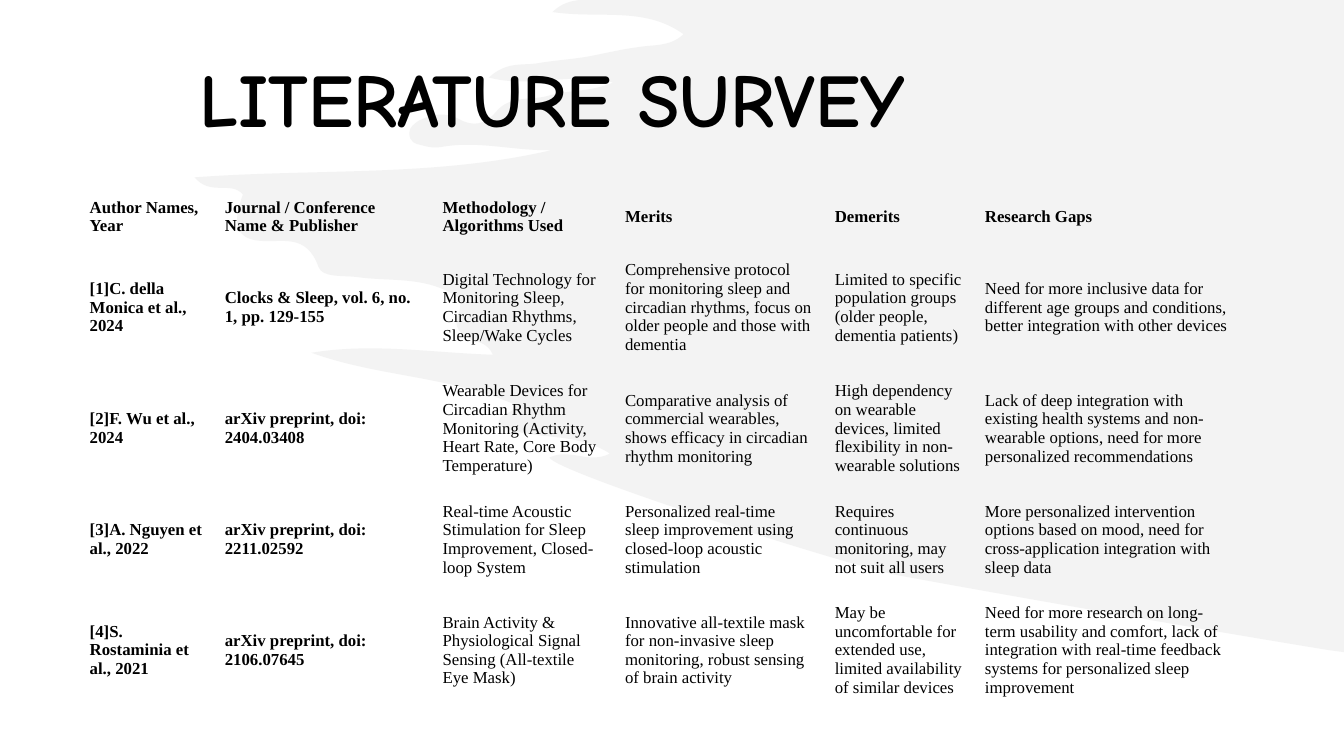
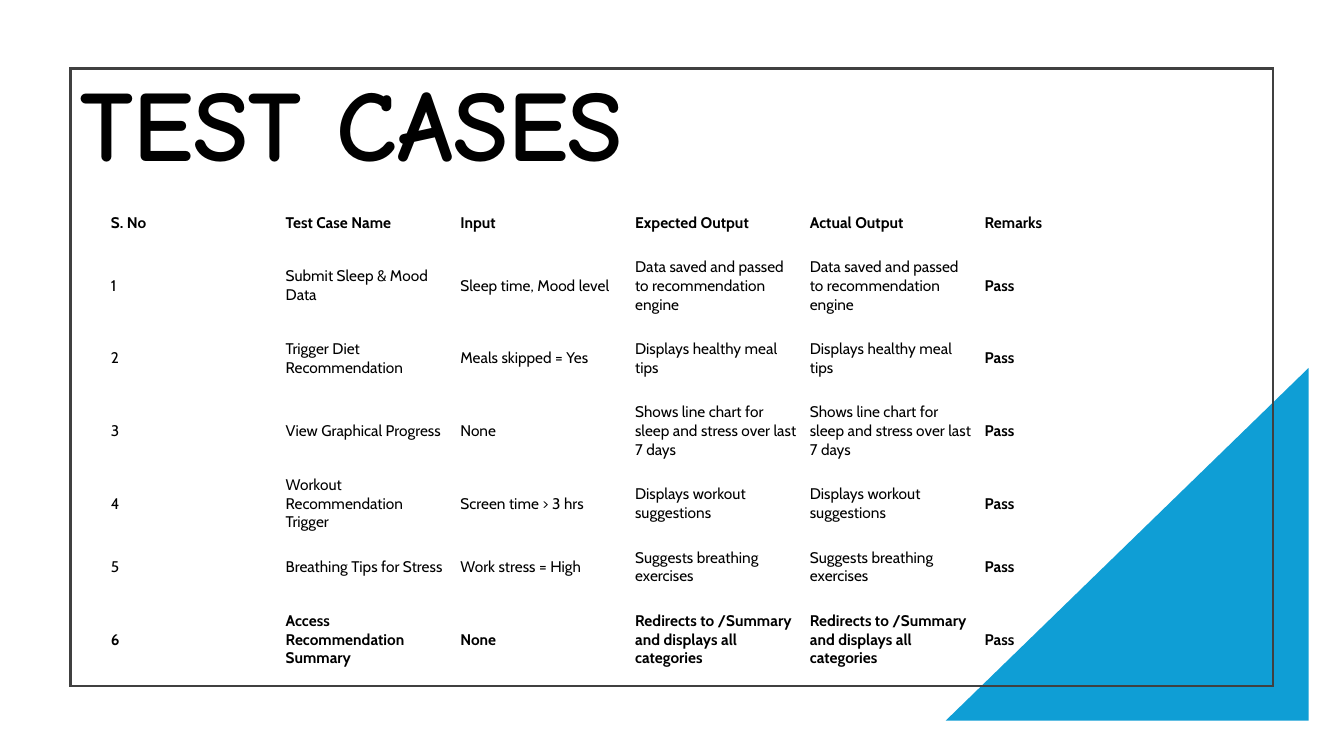
from lxml import etree
from pptx import Presentation
from pptx import util as u
from pptx.dml.color import RGBColor
from pptx.enum import shapes, text
from pptx.oxml.ns import qn

COLORS = {"ink": "000000", "wash": "E8E8E8", "accent": "0F9ED5", "frame": "404040"}
TITLE_FONT = "Comic Neue"
NO_GRID = "{2D5ABB26-0587-4C30-8999-92F81FD0307C}"

SURVEY = [
    ("Author Names, Year", "Journal / Conference Name & Publisher",
     "Methodology / Algorithms Used", "Merits", "Demerits", "Research Gaps"),
    ("[1]C. della Monica et al., 2024",
     "Clocks & Sleep, vol. 6, no. 1, pp. 129-155",
     "Digital Technology for Monitoring Sleep, Circadian Rhythms, Sleep/Wake Cycles",
     "Comprehensive protocol for monitoring sleep and circadian rhythms, "
     "focus on older people and those with dementia",
     "Limited to specific population groups (older people, dementia patients)",
     "Need for more inclusive data for different age groups and conditions, "
     "better integration with other devices"),
    ("[2]F. Wu et al., 2024",
     "arXiv preprint, doi: 2404.03408",
     "Wearable Devices for Circadian Rhythm Monitoring "
     "(Activity, Heart Rate, Core Body Temperature)",
     "Comparative analysis of commercial wearables, "
     "shows efficacy in circadian rhythm monitoring",
     "High dependency on wearable devices, limited flexibility in non-wearable solutions",
     "Lack of deep integration with existing health systems and non-wearable options, "
     "need for more personalized recommendations"),
    ("[3]A. Nguyen et al., 2022",
     "arXiv preprint, doi: 2211.02592",
     "Real-time Acoustic Stimulation for Sleep Improvement, Closed-loop System",
     "Personalized real-time sleep improvement using closed-loop acoustic stimulation",
     "Requires continuous monitoring, may not suit all users",
     "More personalized intervention options based on mood, "
     "need for cross-application integration with sleep data"),
    ("[4]S. Rostaminia et al., 2021",
     "arXiv preprint, doi: 2106.07645",
     "Brain Activity & Physiological Signal Sensing (All-textile Eye Mask)",
     "Innovative all-textile mask for non-invasive sleep monitoring, "
     "robust sensing of brain activity",
     "May be uncomfortable for extended use, limited availability of similar devices",
     "Need for more research on long-term usability and comfort, lack of integration "
     "with real-time feedback systems for personalized sleep improvement"),
]
SURVEY_COLS = [1.34, 2.16, 1.81, 2.08, 1.49, 2.64]
SURVEY_ROWS = [0.58, 1.14, 1.14, 0.95, 1.15]

TEST_HEADER = ("S. No", "Test Case Name", "Input", "Expected Output",
               "Actual Output", "Remarks")
TESTS = [
    ("Submit Sleep & Mood Data", "Sleep time, Mood level",
     "Data saved and passed to recommendation engine"),
    ("Trigger Diet Recommendation", "Meals skipped = Yes", "Displays healthy meal tips"),
    ("View Graphical Progress", "None",
     "Shows line chart for sleep and stress over last 7 days"),
    ("Workout Recommendation Trigger", "Screen time > 3 hrs",
     "Displays workout suggestions"),
    ("Breathing Tips for Stress", "Work stress = High", "Suggests breathing exercises"),
    ("Access Recommendation Summary", "None",
     "Redirects to /Summary and displays all categories"),
]
TEST_COLS = [10.4 / 6] * 6
TEST_ROWS = [0.44, 0.81, 0.63, 0.81, 0.63, 0.63, 0.81]

BRUSH_START = (5.75, 0)
BRUSH_CURVES = [
    (5.67, 0.01, 5.57, 0.03, 5.48, 0.12), (5.95, 0.19, 6.39, 0.06, 6.78, 0.34),
    (6.64, 0.47, 6.48, 0.44, 6.32, 0.47), (6.16, 0.49, 6, 0.53, 5.84, 0.56),
    (5.67, 0.59, 5.49, 0.6, 5.32, 0.63), (5.18, 0.65, 5.02, 0.61, 4.85, 0.77),
    (5.27, 0.88, 5.66, 0.71, 6.08, 0.82), (5.84, 0.92, 5.63, 0.89, 5.44, 0.95),
    (5.27, 1, 5.06, 0.94, 4.92, 1.11), (4.81, 1.24, 4.69, 1.26, 4.55, 1.18),
    (4.42, 1.11, 4.28, 1.13, 4.15, 1.2), (4.11, 1.23, 4.06, 1.26, 4.06, 1.32),
    (4.06, 1.41, 4.12, 1.43, 4.18, 1.44), (4.24, 1.46, 4.31, 1.47, 4.37, 1.46),
    (4.74, 1.39, 5.1, 1.5, 5.47, 1.49), (4.31, 1.76, 3.14, 1.67, 1.93, 1.76),
    (2.09, 1.95, 2.29, 1.79, 2.41, 1.93), (2.3, 2.22, 2.34, 2.37, 2.58, 2.39),
    (2.8, 2.41, 3.04, 2.31, 3.16, 2.65), (3.2, 2.76, 3.41, 2.73, 3.55, 2.75),
    (3.84, 2.79, 4.14, 2.75, 4.42, 2.88), (4.53, 2.93, 4.6, 2.97, 4.55, 3.11),
    (4.49, 3.25, 4.56, 3.3, 4.66, 3.36), (4.73, 3.4, 4.83, 3.39, 4.89, 3.52),
    (4.28, 3.5, 3.69, 3.4, 3.09, 3.5), (3.75, 3.74, 4.47, 3.73, 5.12, 4.02),
    (5.1, 4.12, 4.95, 4.07, 4.94, 4.22), (5.28, 4.38, 5.69, 4.27, 6.05, 4.5),
    (5.84, 4.61, 5.65, 4.44, 5.45, 4.54), (5.52, 4.69, 8.4, 5.61, 8.92, 5.71),
    (9.78, 5.87, 11.95, 6.25, 13.18, 6.45),
]
BRUSH_END = [(13.33, 6.47), (13.33, 0)]


def color(key):
    return RGBColor.from_string(COLORS[key])


def write(frame, words, font, size, bold=False, spacing=None):
    frame.word_wrap = True
    frame.vertical_anchor = text.MSO_ANCHOR.MIDDLE
    paragraph = frame.paragraphs[0]
    paragraph.line_spacing = spacing
    run = paragraph.add_run()
    run.text = words
    run.font.name, run.font.size, run.font.bold = font, u.Pt(size), bold
    run.font.color.rgb = color("ink")


def add_title(slide, words, box, size):
    frame = slide.shapes.add_textbox(*map(u.Inches, box)).text_frame
    write(frame, words, TITLE_FONT, size, bold=True, spacing=0.9)


def add_grid(slide, rows, left, top, widths, heights, margins, is_bold, font, size):
    box = map(u.Inches, (left, top, sum(widths), sum(heights)))
    grid = slide.shapes.add_table(len(rows), len(widths), *box).table
    grid.first_row = grid.horz_banding = False
    grid._tbl.tblPr.find(qn("a:tableStyleId")).text = NO_GRID
    for column, width in zip(grid.columns, widths):
        column.width = u.Inches(width)
    side, edge = map(u.Inches, margins)
    for r, (row, height) in enumerate(zip(rows, heights)):
        grid.rows[r].height = u.Inches(height)
        for c, words in enumerate(row):
            cell = grid.cell(r, c)
            cell.fill.background()
            cell.margin_left = cell.margin_right = side
            cell.margin_top = cell.margin_bottom = edge
            cell.vertical_anchor = text.MSO_ANCHOR.MIDDLE
            write(cell.text_frame, words, font, size, bold=is_bold(r, c))


def emu(points):
    return [(u.Inches(x), u.Inches(y)) for x, y in points]


def bend(brush, curves):
    lines = list(brush._element.spPr.iter(qn("a:lnTo")))
    for line, curve in zip(lines, curves):
        bezier = etree.Element(qn("a:cubicBezTo"))
        for x, y in emu(zip(curve[::2], curve[1::2])):
            point = etree.SubElement(bezier, qn("a:pt"))
            point.set("x", str(x - brush.left))
            point.set("y", str(y - brush.top))
        line.getparent().replace(line, bezier)


def add_brush(slide):
    anchors = emu([BRUSH_START, *(curve[4:] for curve in BRUSH_CURVES), *BRUSH_END])
    builder = slide.shapes.build_freeform(*anchors[0])
    builder.add_line_segments(anchors[1:], close=True)
    brush = builder.convert_to_shape()
    bend(brush, BRUSH_CURVES)
    brush.shadow.inherit = False
    brush.line.fill.background()
    brush.fill.solid()
    brush.fill.fore_color.rgb = color("wash")
    tint = brush._element.spPr.find(qn("a:solidFill")).find(qn("a:srgbClr"))
    etree.SubElement(tint, qn("a:alpha")).set("val", "50000")


def add_corner_and_frame(slide):
    corner = slide.shapes.add_shape(shapes.MSO_SHAPE.RIGHT_TRIANGLE,
                                    *map(u.Inches, (9.38, 3.65, 3.6, 3.5)))
    corner.shadow.inherit = False
    corner._element.spPr.find(qn("a:xfrm")).set("flipH", "1")
    corner.fill.solid()
    corner.fill.fore_color.rgb = color("accent")
    corner.line.fill.background()
    border = slide.shapes.add_shape(shapes.MSO_SHAPE.RECTANGLE,
                                    *map(u.Inches, (0.7, 0.68, 11.93, 6.13)))
    border.shadow.inherit = False
    border.fill.background()
    border.line.color.rgb = color("frame")
    border.line.width = u.Pt(1.5)
    outline = border._element.spPr.find(qn("a:ln"))
    etree.SubElement(outline, qn("a:miter")).set("lim", "800000")


def main():
    deck = Presentation()
    deck.slide_width, deck.slide_height = u.Inches(13.33), u.Inches(7.5)
    blank = deck.slide_layouts[6]

    survey = deck.slides.add_slide(blank)
    add_brush(survey)
    add_title(survey, "LITERATURE SURVEY", (1.88, 0.3, 11.5, 1.45), 54)
    add_grid(survey, SURVEY, 0.78, 1.85, SURVEY_COLS, SURVEY_ROWS, (0.11, 0.1),
             lambda r, c: r == 0 or c < 2, "Times New Roman", 12)

    cases = deck.slides.add_slide(blank)
    add_corner_and_frame(cases)
    add_title(cases, "TEST CASES", (0.7, 0.39, 8.83, 1.77), 72)
    rows = [TEST_HEADER] + [(str(number), name, given, output, output, "Pass")
                            for number, (name, given, output) in enumerate(TESTS, 1)]
    add_grid(cases, rows, 1.04, 1.99, TEST_COLS, TEST_ROWS, (0.06, 0.03),
             lambda r, c: r in (0, len(TESTS)) or c == 5, "Cabin", 11)

    deck.save("out.pptx")


if __name__ == "__main__":
    main()
